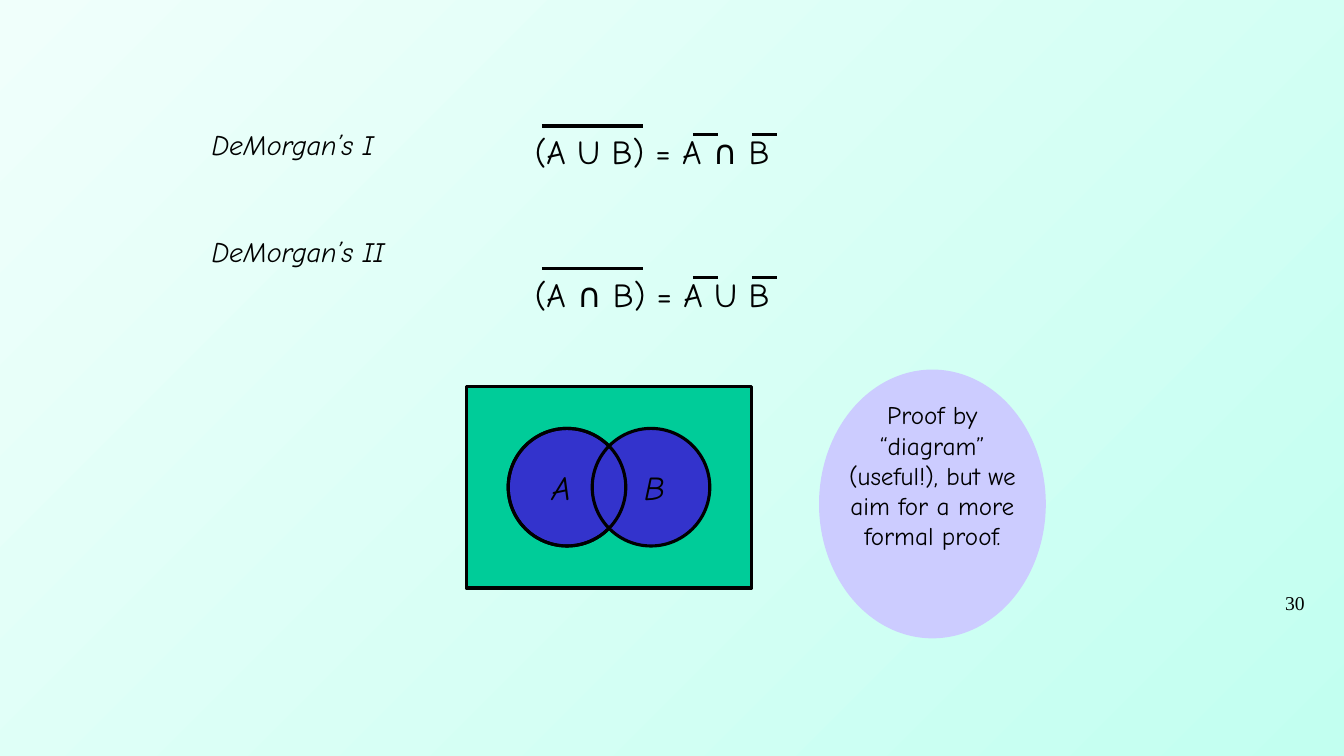
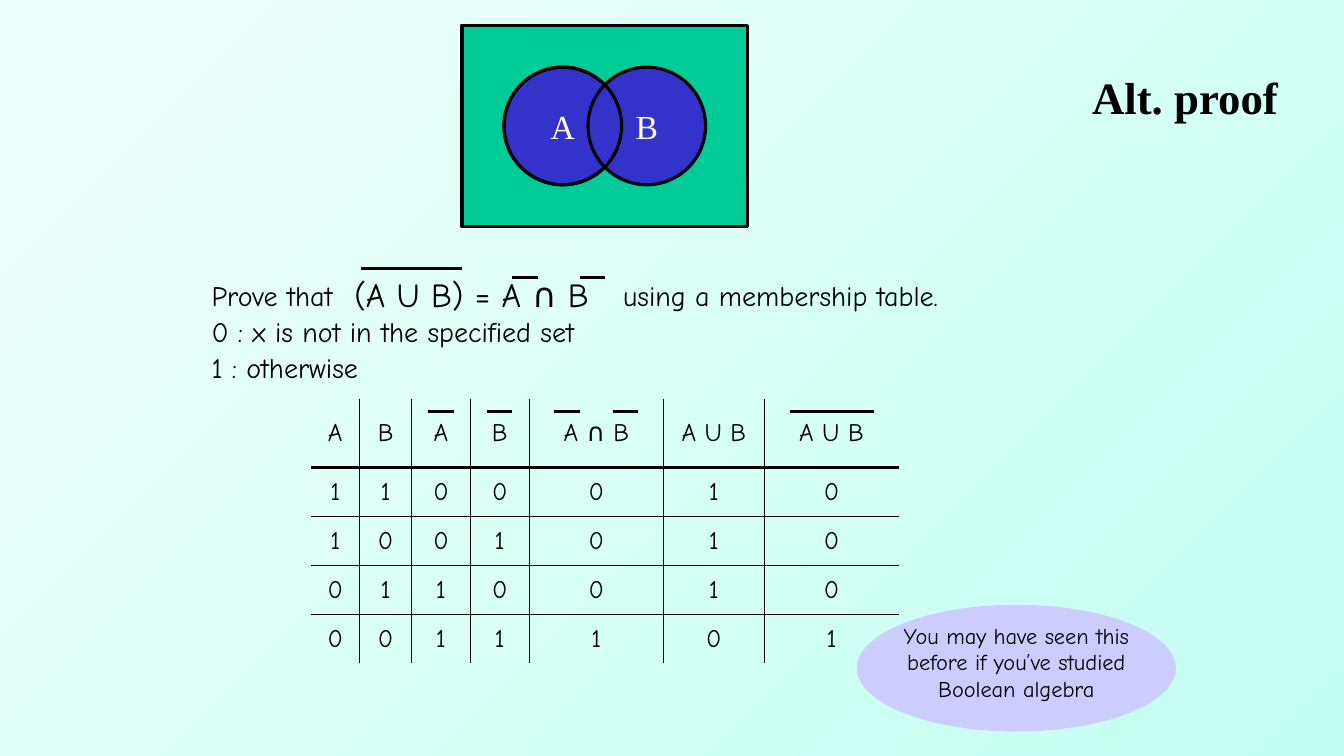
from dataclasses import dataclass

from lxml.etree import SubElement
from pptx import Presentation
from pptx.dml.color import RGBColor
from pptx.enum.shapes import MSO_CONNECTOR, MSO_SHAPE
from pptx.enum.text import MSO_ANCHOR, PP_ALIGN
from pptx.oxml import parse_xml
from pptx.oxml.ns import nsdecls, qn
from pptx.util import Pt


@dataclass(frozen=True)
class Theme:
    ink: str = "000000"
    white: str = "FFFFFF"
    back_from: str = "F0FFFB"
    back_to: str = "C2FFF0"
    universe: str = "00CC99"
    circle: str = "3333CC"
    note: str = "CCCCFF"
    hand: str = "Comic Neue"
    serif: str = "Times New Roman"
    title: int = 32
    formula: int = 24
    body: int = 20
    cell: int = 18
    small: int = 16
    number: int = 14
    stroke: float = 2.25
    thin: int = 1
    thick: int = 3


T = Theme()
LEFT, CENTER, RIGHT = PP_ALIGN.LEFT, PP_ALIGN.CENTER, PP_ALIGN.RIGHT


def rgb(value):
    return RGBColor.from_string(value)


def write(tf, text, size=T.body, font=T.hand, color=T.ink, bold=False,
          italic=False, align=LEFT, leading=None, before=0, tab=None):
    p = tf.add_paragraph() if tf.text else tf.paragraphs[0]
    p.alignment = align
    p.space_before = Pt(before)
    if leading:
        p.line_spacing = leading
    if tab:
        tabs = SubElement(p._p.get_or_add_pPr(), qn("a:tabLst"))
        SubElement(tabs, qn("a:tab"), pos=str(Pt(tab)), algn="l")
    r = p.add_run()
    r.text = text
    f = r.font
    f.name, f.size, f.bold, f.italic = font, Pt(size), bold, italic
    f.color.rgb = rgb(color)


def set_border(cell, side, width):
    if width:
        paint = f'<a:solidFill><a:srgbClr val="{T.ink}"/></a:solidFill>'
    else:
        paint = "<a:noFill/>"
    return parse_xml(f'<a:{side} {nsdecls("a")} w="{Pt(width)}">{paint}</a:{side}>')


class Deck:
    def __init__(self):
        self.prs = Presentation()
        self.prs.slide_width, self.prs.slide_height = Pt(960), Pt(540)
        fill = self.prs.slide_master.background.fill
        fill.gradient()
        fill.gradient_angle = 315
        for stop, color in zip(fill.gradient_stops, (T.back_from, T.back_to)):
            stop.color.rgb = rgb(color)
        self.s = None

    def add_slide(self):
        self.s = self.prs.slides.add_slide(self.prs.slide_layouts[6])

    def text(self, x, y, w, h, text="", anchor=MSO_ANCHOR.TOP, **style):
        tf = self.s.shapes.add_textbox(Pt(x), Pt(y), Pt(w), Pt(h)).text_frame
        tf.word_wrap = True
        tf.vertical_anchor = anchor
        if text:
            write(tf, text, **style)
        return tf

    def shape(self, kind, x, y, w, h, fill=None, line=T.ink):
        sp = self.s.shapes.add_shape(kind, Pt(x), Pt(y), Pt(w), Pt(h))
        sp.shadow.inherit = False
        if fill:
            sp.fill.solid()
            sp.fill.fore_color.rgb = rgb(fill)
        else:
            sp.fill.background()
        if line:
            sp.line.color.rgb = rgb(line)
            sp.line.width = Pt(T.stroke)
        else:
            sp.line.fill.background()
        return sp

    def bar(self, x, y, w=18):
        line = self.s.shapes.add_connector(
            MSO_CONNECTOR.STRAIGHT, Pt(x), Pt(y), Pt(x + w), Pt(y))
        line.line.color.rgb = rgb(T.ink)
        line.line.width = Pt(T.stroke)
        SubElement(line._element.spPr, qn("a:effectLst"))

    def formula(self, x, y, text, last_bar):
        self.text(x, y, 324, 36, text, size=T.formula)
        self.bar(x + 12, y, 72)
        self.bar(x + 120, y + 6)
        self.bar(x + last_bar, y + 6)

    def venn(self, x, y, inside=False):
        self.shape(MSO_SHAPE.RECTANGLE, x, y, 204, 144, T.universe)
        cx, cy, d, step = x + 30, y + 30, 84, 60
        circles = [self.shape(MSO_SHAPE.OVAL, cx + i * step, cy, d, d, T.circle)
                   for i in range(2)]
        self.shape(MSO_SHAPE.OVAL, cx, cy, d, d)
        for i, (name, sp) in enumerate(zip("AB", circles)):
            if inside:
                sp.text_frame.word_wrap = False
                sp.text_frame.vertical_anchor = MSO_ANCHOR.MIDDLE
                write(sp.text_frame, name, size=T.formula, font=T.serif,
                      color=T.white, align=CENTER)
            else:
                self.text(x + 54 + i * 66, y + 54, 36, 36, name,
                          size=T.formula, italic=True)

    def note(self, x, y, w, h, text, inset, size):
        dx, dy = inset
        self.shape(MSO_SHAPE.OVAL, x, y, w, h, T.note, line=None)
        self.text(x + dx, y + dy, w - 2 * dx, h - 2 * dy, text,
                  size=size, align=CENTER)

    def table(self, x, y, widths, heights, rows):
        table = self.s.shapes.add_table(
            len(heights), len(widths), Pt(x), Pt(y),
            Pt(sum(widths)), Pt(sum(heights))).table
        table.first_row = table.horz_banding = False
        for col, w in zip(table.columns, widths):
            col.width = Pt(w)
        for row, h in zip(table.rows, heights):
            row.height = Pt(h)
        last_row, last_col = len(heights) - 1, len(widths) - 1
        for i, values in enumerate(rows):
            for j, value in enumerate(values):
                cell = table.cell(i, j)
                cell.vertical_anchor = MSO_ANCHOR.MIDDLE
                cell.fill.background()
                write(cell.text_frame, value, size=T.cell, align=CENTER)
                borders = {
                    "lnL": T.thin if j else 0,
                    "lnR": T.thin if j < last_col else 0,
                    "lnT": (0, T.thick)[i] if i < 2 else T.thin,
                    "lnB": T.thick if i == 0 else T.thin if i < last_row else 0,
                }
                tcPr = cell._tc.get_or_add_tcPr()
                for k, (side, width) in enumerate(borders.items()):
                    tcPr.insert(k, set_border(cell, side, width))


def laws_slide(deck):
    deck.add_slide()
    deck.text(715, 418.5, 224, 37.5, "30", size=T.number, font=T.serif, align=RIGHT)
    tf = deck.text(144, 90, 580, 360)
    write(tf, "DeMorgan’s I", italic=True, leading=0.9)
    write(tf, "DeMorgan’s II", italic=True, leading=0.9, before=55)
    deck.venn(333, 276)
    deck.note(585, 264, 162, 192,
              "Proof by “diagram” (useful!), but we aim for a more formal proof.",
              inset=(12, 18), size=T.cell)
    deck.formula(375, 90, "(A U B) = A ∩ B", last_bar=162)
    deck.formula(375, 192, "(A ∩ B) = A U B", last_bar=162)


def proof_slide(deck):
    deck.add_slide()
    deck.text(112, 24, 816, 90, " Alt. proof ", anchor=MSO_ANCHOR.MIDDLE,
              size=T.title, font=T.serif, bold=True, align=RIGHT)
    tf = deck.text(144, 198, 580, 360)
    write(tf, "Prove that\tusing a membership table.", leading=0.9, tab=294)
    for line in ("0 : x is not in the specified set", "1 : otherwise"):
        write(tf, line, leading=0.9, before=4)
    deck.formula(246, 192, "(A U B) = A ∩ B", last_bar=168)
    header = ["A", "B", "A", "B", "A ∩ B", "A U B", "A U B"]
    members = ["1100010", "1001010", "0110010", "0011101"]
    deck.table(222, 285, [35, 37, 42, 42, 96, 72, 96], [49] + [35] * 4,
               [header, *members])
    for x in (306, 348, 396, 438):
        deck.bar(x, 294)
    deck.bar(564, 294, 60)
    deck.note(612, 432, 228, 90.5,
              "You may have seen this before if you’ve studied Boolean algebra",
              inset=(16.5, 8.5), size=T.small)
    deck.venn(330, 18, inside=True)


def main():
    deck = Deck()
    laws_slide(deck)
    proof_slide(deck)
    deck.prs.save("out.pptx")


if __name__ == "__main__":
    main()
